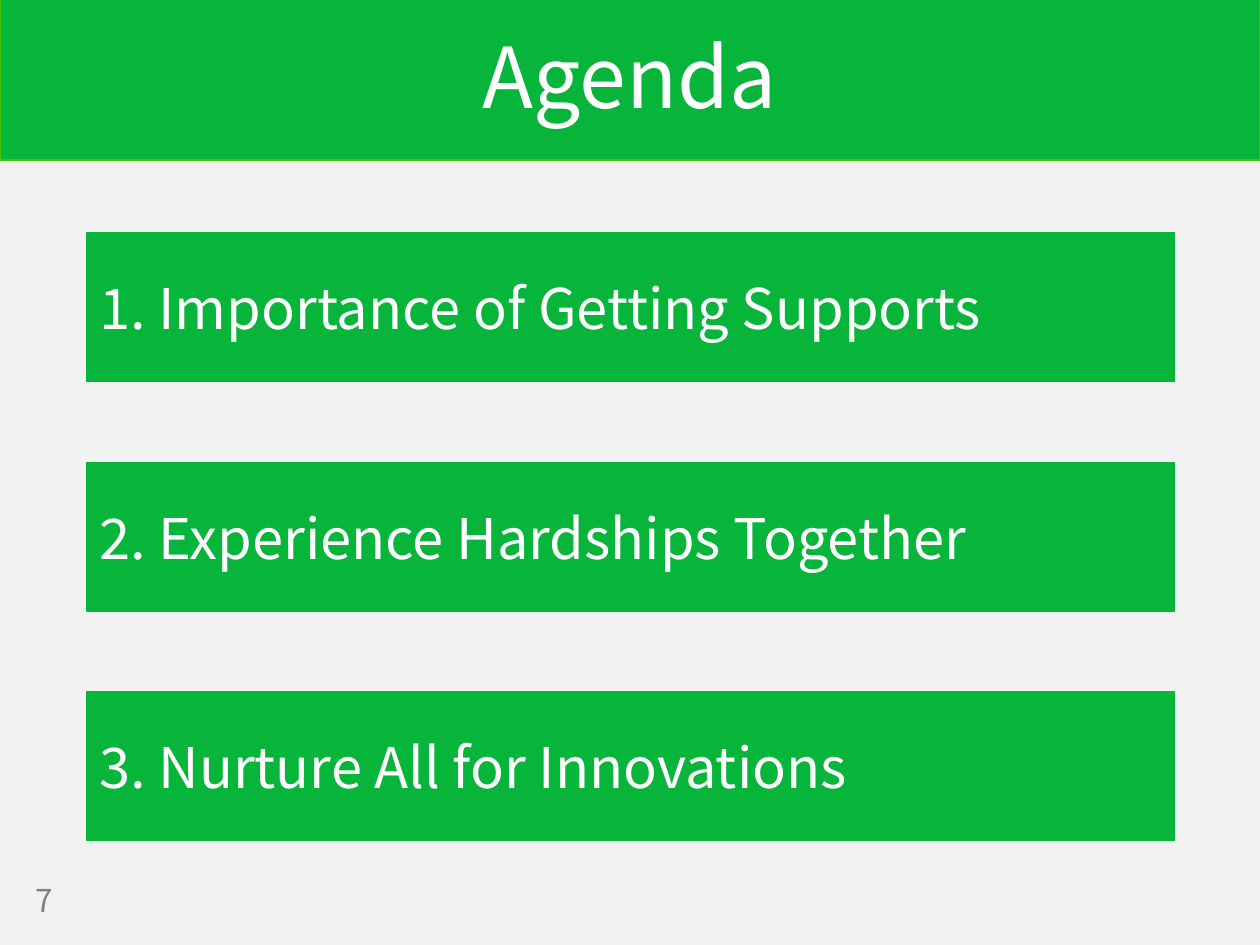
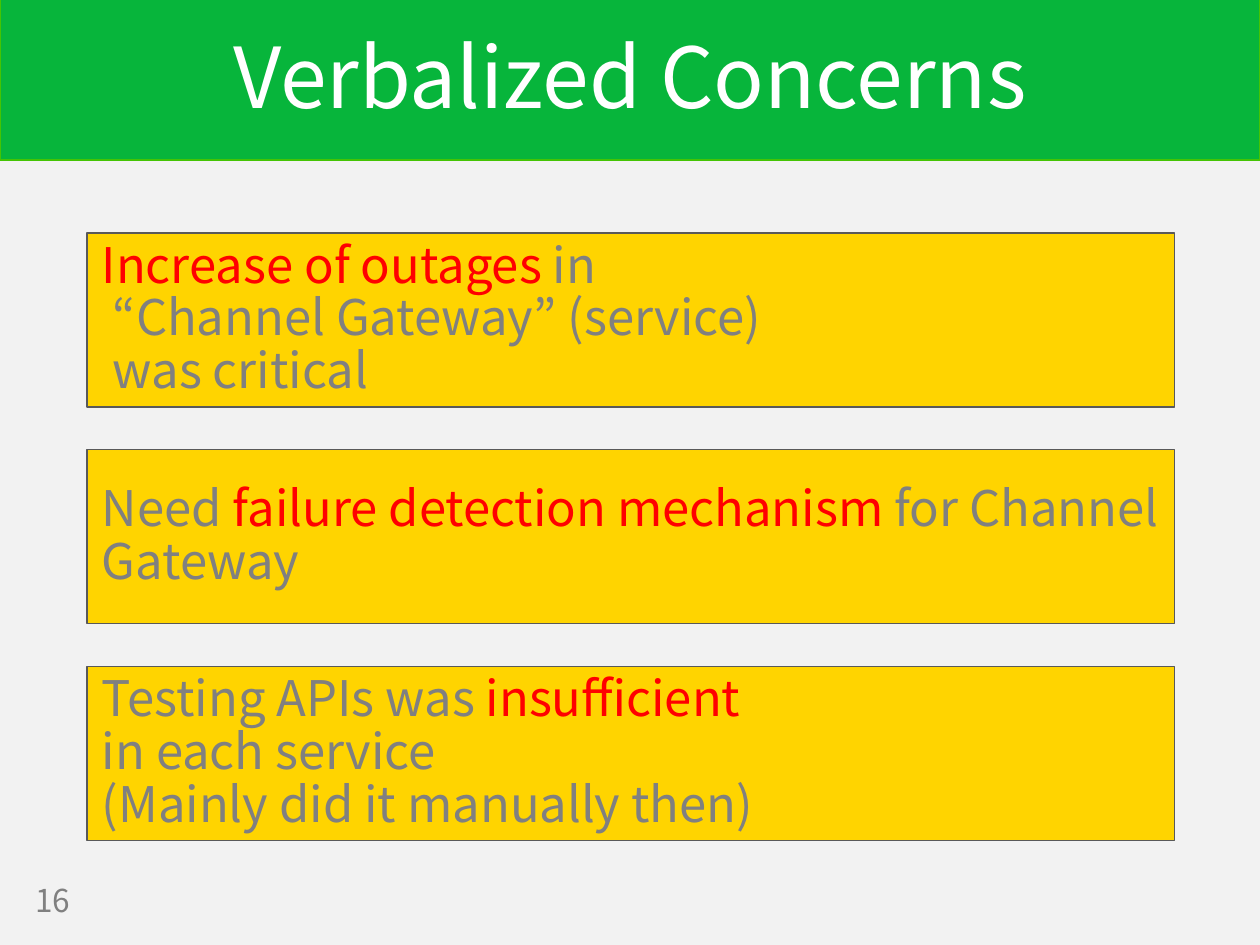
import pptx
import pptx.util
import pptx.dml.color
import pptx.enum.shapes
import pptx.enum.text

Inch = pptx.util.Inches
Point = pptx.util.Pt
Align = pptx.enum.text.PP_ALIGN
WIDE, HIGH = 10, 7.5
LEFT, SPAN = 0.069, 0.863
TOP, BASE = 1.85 / HIGH, 6.67 / HIGH
FACE = "Noto Sans CJK JP"
HUES = {
    "page": "F2F2F2", "green": "07B53B", "edge": "44C404", "white": "FFFFFF",
    "gray": "808080", "gold": "FFD400", "dark": "595959", "red": "FF0000",
}
FRAME = {"word_wrap": True, "vertical_anchor": pptx.enum.text.MSO_ANCHOR.MIDDLE}
TITLE = {"alignment": Align.CENTER, "line_spacing": 0.9}
PLAIN = {"alignment": Align.LEFT}
TIGHT = {"alignment": Align.LEFT, "line_spacing": 0.9}

AGENDA = [
    [("1. Importance of Getting Supports", "white")],
    [("2. Experience Hardships Together", "white")],
    [("3. Nurture All for Innovations", "white")],
]
CONCERNS = [
    [("Increase of outages", "red"),
     (" in\n “Channel Gateway” (service)\n was critical", "gray")],
    [("Need ", "gray"), ("failure detection mechanism", "red"),
     (" for Channel Gateway", "gray")],
    [("Testing APIs was ", "gray"), ("insufficient\n", "red"),
     ("in each service\n(Mainly did it manually then)", "gray")],
]


def hue(name):
    return pptx.dml.color.RGBColor.from_string(HUES[name])


def place(left, top, width, height):
    return [Inch(round(share * size, 2)) for share, size in
            ((left, WIDE), (top, HIGH), (width, WIDE), (height, HIGH))]


def style(item, look):
    for key, value in look.items():
        setattr(item, key, value)


def write(shape, runs, size, look):
    frame = shape.text_frame
    style(frame, FRAME)
    para = frame.paragraphs[0]
    style(para, look)
    for text, tint in runs:
        for row, part in enumerate(text.split("\n")):
            if row:
                para.add_line_break()
            if part:
                run = para.add_run()
                run.text = part
                style(run.font, {"name": FACE, "size": Point(size)})
                run.font.color.rgb = hue(tint)
    return para


def panel(slide, area, fill, edge, weight):
    kind = pptx.enum.shapes.MSO_SHAPE.RECTANGLE
    shape = slide.shapes.add_shape(kind, *area)
    shape.shadow.inherit = False
    shape.fill.solid()
    shape.fill.fore_color.rgb = hue(fill)
    shape.line.color.rgb = hue(edge)
    shape.line.width = Point(weight)
    return shape


def theme(deck, layout):
    layout.background.fill.solid()
    layout.background.fill.fore_color.rgb = hue("page")
    slide = deck.slides[0]
    band = panel(slide, place(0, -0.01 / HIGH, 1, 1.28 / HIGH), "green", "edge", 1)
    layout.element.cSld.spTree.insert(2, band.element)


def start(deck, layout, title, number):
    slide = deck.slides.add_slide(layout)
    head = slide.shapes.title
    area = place(0, 0.36 / HIGH, 1, 0.57 / HIGH)
    style(head, dict(zip(("left", "top", "width", "height"), area)))
    head.text_frame.auto_size = pptx.enum.text.MSO_AUTO_SIZE.NONE
    write(head, [(title, "white")], 48, TITLE)
    foot = slide.shapes.add_textbox(*place(0.018, 6.95 / HIGH, 0.079, 0.39 / HIGH))
    write(foot, [(number, "gray")], 18, PLAIN)
    return slide


def stack(slide, items, height, fill, edge, size, look, indent=0):
    step = (BASE - TOP - height) / (len(items) - 1)
    for row, runs in enumerate(items):
        area = place(LEFT, TOP + row * step, SPAN, height)
        box = panel(slide, area, fill, edge, 0.75)
        para = write(box, runs, size, look)
        if indent:
            para._p.get_or_add_pPr().set("marL", str(Inch(indent)))


def main():
    deck = pptx.Presentation()
    style(deck, {"slide_width": Inch(WIDE), "slide_height": Inch(HIGH)})
    layout = deck.slide_layouts[5]
    agenda = start(deck, layout, "Agenda", "7")
    theme(deck, layout)
    stack(agenda, AGENDA, 1.18 / HIGH, "green", "green", 32, PLAIN)
    concerns = start(deck, layout, "Verbalized Concerns", "16")
    stack(concerns, CONCERNS, 1.38 / HIGH, "gold", "dark", 28, TIGHT, 0.02)
    deck.save("out.pptx")


if __name__ == "__main__":
    main()
